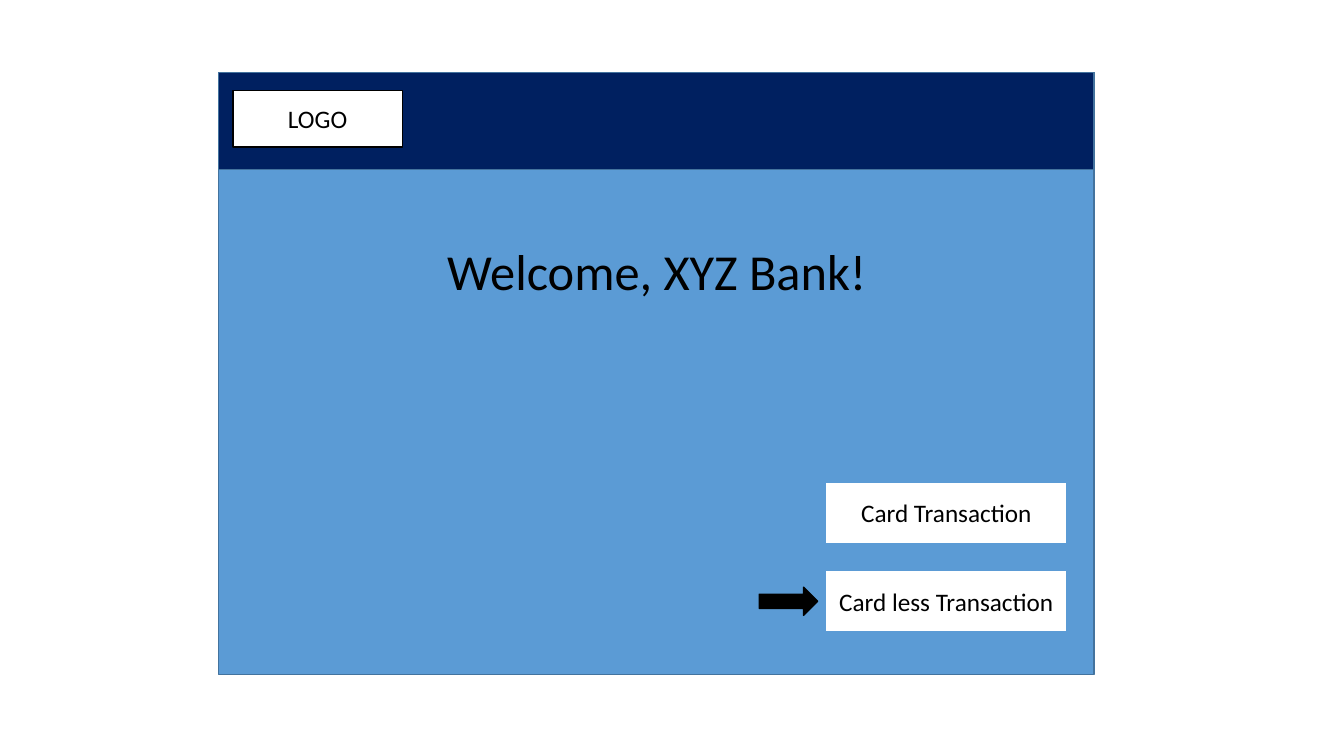
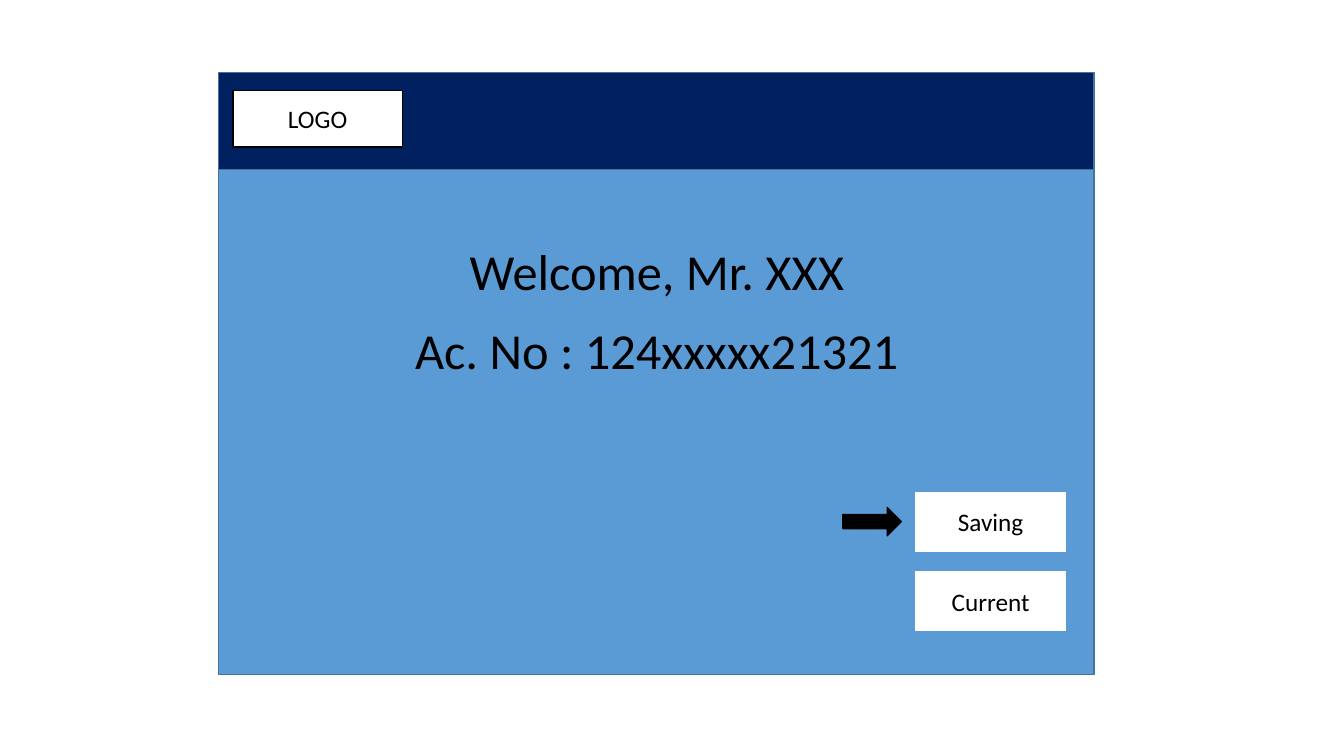
import pptx
import pptx.dml.color
import pptx.enum.shapes
import pptx.enum.text
import pptx.util

Inches = pptx.util.Inches
SHAPES = pptx.enum.shapes.MSO_SHAPE

THEME = {
    "font": "Calibri",
    "heading_size": 36,
    "label_size": 18,
    "line_width": 1,
    "black": "000000",
    "white": "FFFFFF",
    "navy": "002060",
    "sky": "5B9BD5",
    "edge": "43739E",
}

SCREEN_LEFT, SCREEN_TOP, SCREEN_WIDTH, SCREEN_HEIGHT = 2.17, 0.72, 8.68, 5.97
HEADER_HEIGHT = 0.96
HEADING_TOP, HEADING_PITCH, HEADING_HEIGHT = 2.33, 0.79, 0.71
BUTTON_RIGHT, LAST_BUTTON_TOP, BUTTON_HEIGHT = 10.58, 5.66, 0.61
ARROW_WIDTH, ARROW_HEIGHT = 0.58, 0.28

SCREENS = [
    {
        "headings": ["Welcome, XYZ Bank!"],
        "buttons": ["Card Transaction", "Card less Transaction"],
        "selected": "Card less Transaction",
        "button_width": 2.39,
        "button_pitch": 0.88,
        "arrow_gap": 0.08,
    },
    {
        "headings": ["Welcome, Mr. XXX", "Ac. No : 124xxxxx21321"],
        "buttons": ["Saving", "Current"],
        "selected": "Saving",
        "button_width": 1.51,
        "button_pitch": 0.79,
        "arrow_gap": 0.13,
    },
]


def write_text(shape, text, size):
    """Put one centred line of black text in the shape."""
    frame = shape.text_frame
    frame.word_wrap = True
    paragraph = frame.paragraphs[0]
    paragraph.alignment = pptx.enum.text.PP_ALIGN.CENTER
    run = paragraph.add_run()
    run.text = text
    font_format = {"name": THEME["font"], "size": pptx.util.Pt(THEME[size])}
    for attribute, value in font_format.items():
        setattr(run.font, attribute, value)
    run.font.color.rgb = pptx.dml.color.RGBColor.from_string(THEME["black"])


def add_block(slide, kind, box, fill, line, text=None):
    shape = slide.shapes.add_shape(kind, *map(Inches, box))
    shape.shadow.inherit = False
    shape.fill.solid()
    for color, name in ((shape.fill.fore_color, fill), (shape.line.color, line)):
        color.rgb = pptx.dml.color.RGBColor.from_string(THEME[name])
    shape.line.width = pptx.util.Pt(THEME["line_width"])
    if text:
        shape.text_frame.vertical_anchor = pptx.enum.text.MSO_ANCHOR.MIDDLE
        write_text(shape, text, "label_size")


presentation = pptx.Presentation()
presentation.slide_width = Inches(13.33)
presentation.slide_height = Inches(7.5)

for screen in SCREENS:
    slide = presentation.slides.add_slide(presentation.slide_layouts[6])

    for height, fill in ((SCREEN_HEIGHT, "sky"), (HEADER_HEIGHT, "navy")):
        box = (SCREEN_LEFT, SCREEN_TOP, SCREEN_WIDTH, height)
        add_block(slide, SHAPES.RECTANGLE, box, fill, "edge")
    add_block(slide, SHAPES.RECTANGLE, (2.31, 0.9, 1.68, 0.56), "white", "black", "LOGO")

    for row, heading in enumerate(screen["headings"]):
        top = HEADING_TOP + row * HEADING_PITCH
        box = (3.41, top, 6.21, HEADING_HEIGHT)
        write_text(slide.shapes.add_textbox(*map(Inches, box)), heading, "heading_size")

    button_left = BUTTON_RIGHT - screen["button_width"]
    for steps_up, label in enumerate(reversed(screen["buttons"])):
        top = LAST_BUTTON_TOP - steps_up * screen["button_pitch"]
        box = (button_left, top, screen["button_width"], BUTTON_HEIGHT)
        add_block(slide, SHAPES.RECTANGLE, box, "white", "sky", label)
        if label == screen["selected"]:
            arrow_left = button_left - screen["arrow_gap"] - ARROW_WIDTH
            arrow_top = top + (BUTTON_HEIGHT - ARROW_HEIGHT) / 2
            box = (arrow_left, arrow_top, ARROW_WIDTH, ARROW_HEIGHT)
            add_block(slide, SHAPES.RIGHT_ARROW, box, "black", "black")

presentation.save("out.pptx")
